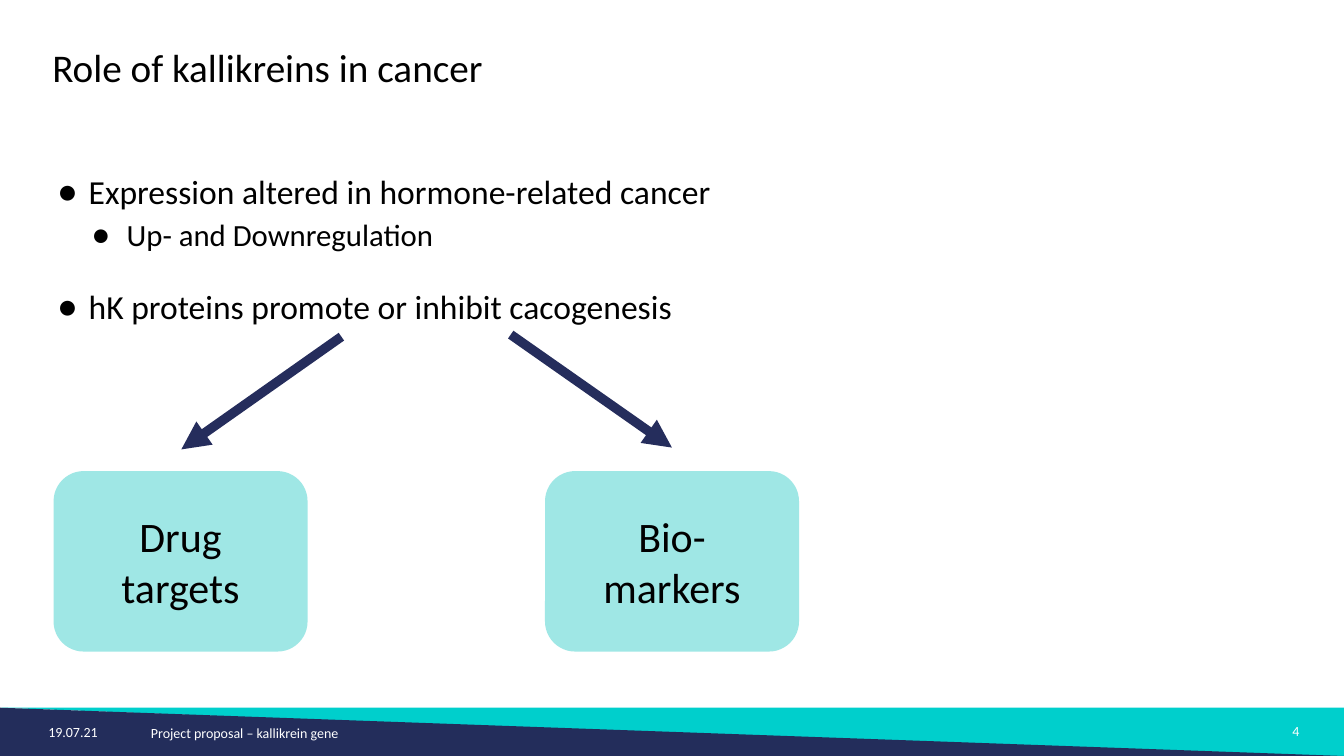
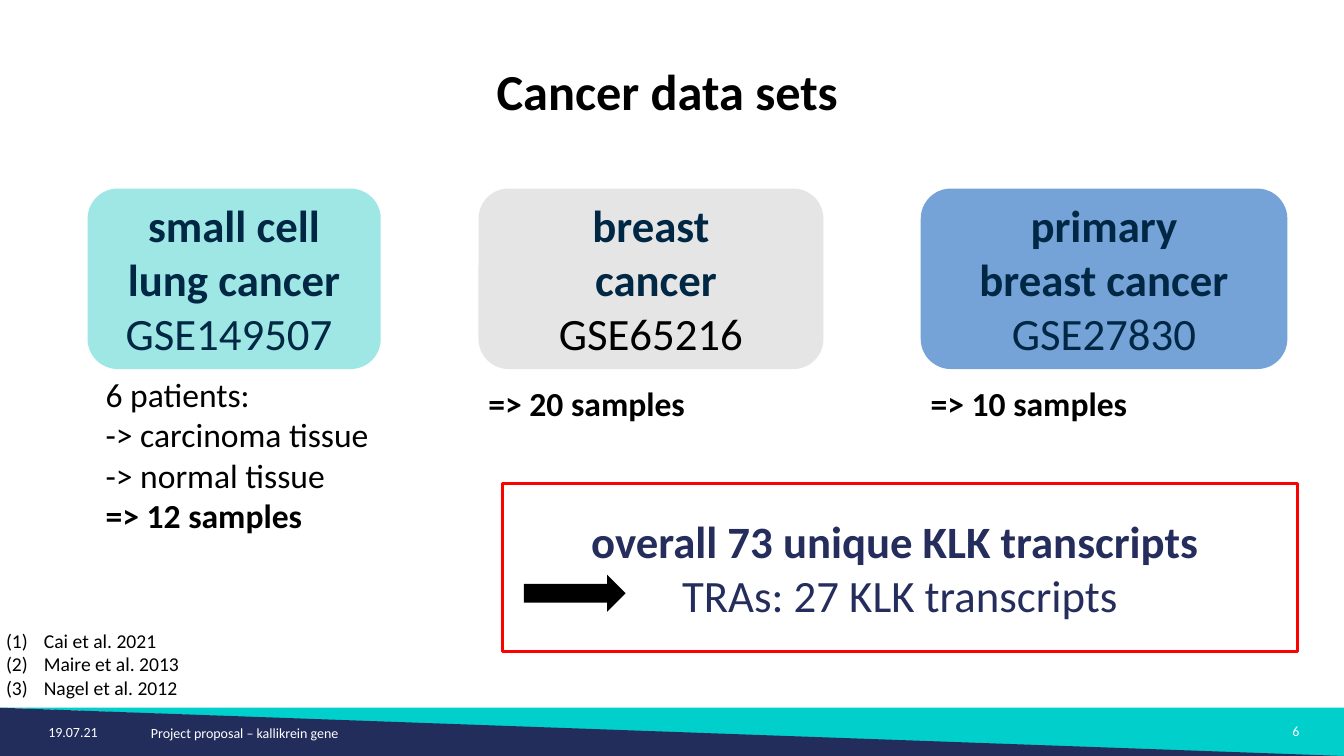
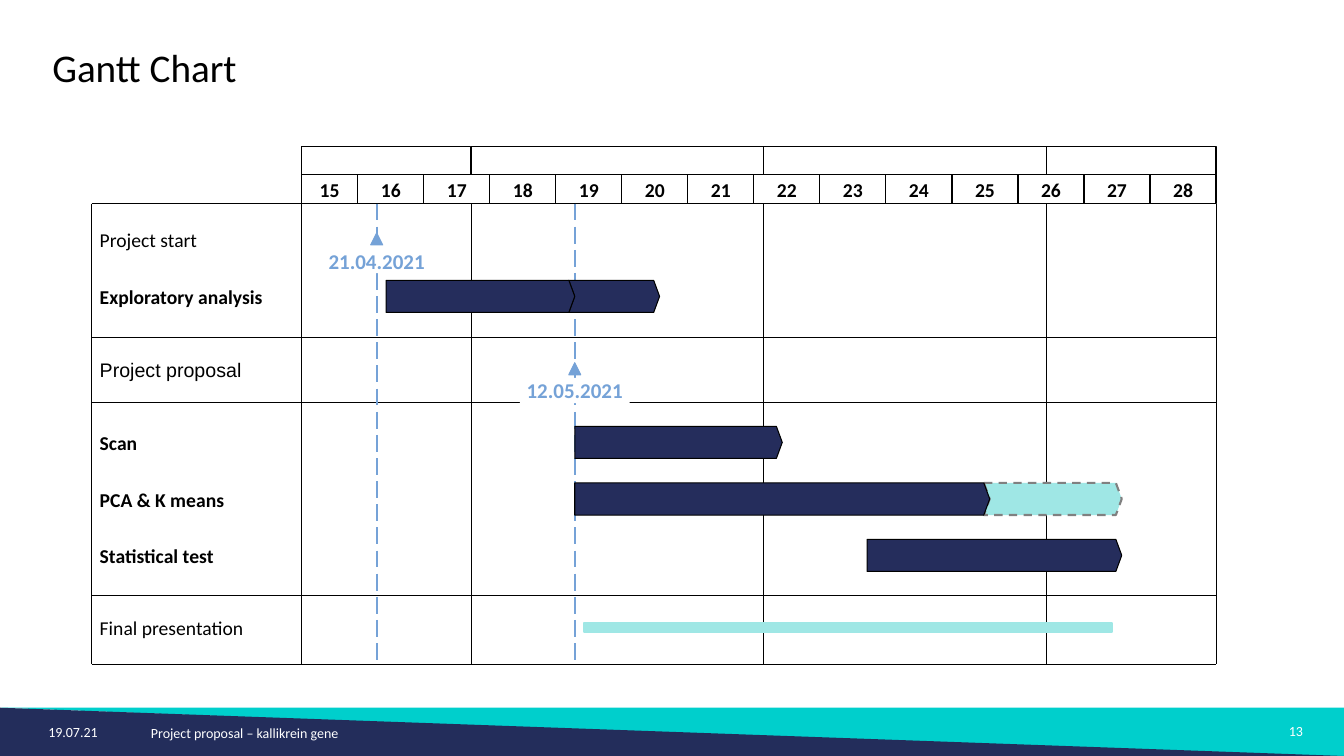
from itertools import pairwise

from lxml.etree import SubElement
from pptx import Presentation
from pptx.dml.color import RGBColor
from pptx.enum.dml import MSO_LINE_DASH_STYLE as Dash
from pptx.enum.shapes import MSO_CONNECTOR as Connector
from pptx.enum.shapes import MSO_SHAPE as Shape
from pptx.enum.text import MSO_ANCHOR as Anchor
from pptx.enum.text import MSO_AUTO_SIZE as AutoSize
from pptx.enum.text import PP_ALIGN as Align
from pptx.oxml.ns import qn
from pptx.util import Pt

BLACK = RGBColor(0x00, 0x00, 0x00)
WHITE = RGBColor(0xFF, 0xFF, 0xFF)
GREY = RGBColor(0x80, 0x80, 0x80)
PALE_GREY = RGBColor(0xE6, 0xE5, 0xE5)
RED = RGBColor(0xFF, 0x00, 0x00)
BAND_NAVY = RGBColor(0x23, 0x2D, 0x5B)
NAVY = RGBColor(0x25, 0x2D, 0x5C)
INK = RGBColor(0x00, 0x28, 0x45)
TURQUOISE = RGBColor(0x00, 0xCF, 0xCC)
AQUA = RGBColor(0x9F, 0xE7, 0xE5)
BLUE = RGBColor(0x75, 0xA2, 0xD7)

FONT = "Calibri"
SLIDE_WIDTH, SLIDE_HEIGHT = 960.48, 540
INSETS = (7.2, 3.6, 7.2, 3.6)
NO_INSETS = (0, 0, 0, 0)

# Gantt grid: day 0 is 13 April
LABEL_LEFT, CHART_LEFT, DAY_WIDTH = 65.5, 215.3, 6.74
CHART_TOP, CHART_BOTTOM, HEADER_HEIGHT = 145.4, 474.5, 20.4
MONTH_STARTS = (0, 18, 49, 79, 97)
WEEK_STARTS = (0, *range(6, 98, 7))
BAR_HEIGHT, BAR_TIP = 23, 0.183


def format_runs(paragraph, size, color, bold=False, font=FONT):
    for span in paragraph.runs:
        span.font.name = font
        span.font.size = Pt(size)
        span.font.bold = bold
        span.font.color.rgb = color


def write(shape, lines, size, color=BLACK, align=Align.LEFT, anchor=Anchor.TOP,
          insets=INSETS, wrap=True, font=FONT):
    """Fill a shape with (text, bold) lines, one paragraph each."""
    frame = shape.text_frame
    frame.auto_size = AutoSize.NONE
    frame.word_wrap = wrap
    frame.vertical_anchor = anchor
    (frame.margin_left, frame.margin_top,
     frame.margin_right, frame.margin_bottom) = map(Pt, insets)
    for index, (text, bold) in enumerate(lines):
        paragraph = frame.add_paragraph() if index else frame.paragraphs[0]
        paragraph.text = text
        paragraph.alignment = align
        format_runs(paragraph, size, color, bold, font)
    return frame


def add_text(slide, box, lines, size, **style):
    return write(slide.shapes.add_textbox(*map(Pt, box)), lines, size, **style)


def add_block(slide, kind, box, fill=None, line=None, weight=0.75):
    shape = slide.shapes.add_shape(kind, *map(Pt, box))
    shape.shadow.inherit = False
    if fill is None:
        shape.fill.background()
    else:
        shape.fill.solid()
        shape.fill.fore_color.rgb = fill
    if line is None:
        shape.line.fill.background()
    else:
        shape.line.color.rgb = line
        shape.line.width = Pt(weight)
    return shape


def add_line(slide, start, end, color=BLACK, weight=0.75, dash=None, arrow=False):
    connector = slide.shapes.add_connector(
        Connector.STRAIGHT, *map(Pt, (*start, *end)))
    line = connector.line
    line.color.rgb = color
    line.width = Pt(weight)
    if dash:
        line.dash_style = dash
    properties = connector._element.spPr
    if arrow:
        SubElement(properties.find(qn("a:ln")), qn("a:tailEnd"), type="triangle")
    SubElement(properties, qn("a:effectLst"))


def add_bullet(paragraph, left, hang, tag="a:buChar", percent=100, **marker):
    properties = paragraph._p.get_or_add_pPr()
    properties.set("marL", str(Pt(left)))
    properties.set("indent", str(-Pt(hang)))
    SubElement(properties, qn("a:buSzPct"), val=str(percent * 1000))
    SubElement(properties, qn("a:buFont"), typeface=FONT)
    SubElement(properties, qn(tag), **marker)


def start_slide(deck, title, number, title_height=42.5, size=28,
                bold=False, align=Align.LEFT):
    """Add a slide with its title, footer bands and footer text."""
    slide = deck.slides.add_slide(deck.slide_layouts[5])
    band = add_block(slide, Shape.RIGHT_TRIANGLE,
                     (0.7, 505.5, SLIDE_WIDTH, 36.7), TURQUOISE)
    band.rotation = 180
    add_block(slide, Shape.RIGHT_TRIANGLE,
              (0, 505.5, SLIDE_WIDTH, 34.5), BAND_NAVY)
    heading = slide.shapes.title
    heading.left, heading.top = Pt(30.2), Pt(26.6)
    heading.width, heading.height = Pt(893.5), Pt(title_height)
    write(heading, [(title, bold)], size, align=align, anchor=Anchor.MIDDLE)
    for text, box, side in (
            ("19.07.21", (27.4, 513.4, 73.4, 20), Align.LEFT),
            (str(number), (912.2, 512.7, 28, 28), Align.CENTER),
            ("Project proposal – kallikrein gene", (100.8, 514, 258, 24), Align.LEFT)):
        add_text(slide, box, [(text, False)], 10, color=WHITE, align=side)
    return slide


def build_role_slide(deck):
    slide = start_slide(deck, "Role of kallikreins in cancer", 4)
    points = (
        ("Expression altered in hormone-related cancer", 24, 22.5, 22.5, 0),
        ("Up- and Downregulation", 22, 49.7, 25.2, 3),
        ("hK proteins promote or inhibit cacogenesis", 24, 22.5, 22.5, 23.5))
    frame = add_text(slide, (33.8, 118.8, 574, 118),
                     [(point[0], False) for point in points], 24)
    for paragraph, (_, size, left, hang, before) in zip(frame.paragraphs, points):
        paragraph.space_before = Pt(before)
        add_bullet(paragraph, left, hang, percent=125, char="•")
        format_runs(paragraph, size, BLACK)
    for text, left, start, end in (
            ("Drug targets", 38.3, (244, 240.5), (129.6, 321)),
            ("Bio-markers", 389.5, (365, 239), (480.2, 319.7))):
        card = add_block(slide, Shape.ROUNDED_RECTANGLE,
                         (left, 336.5, 181.5, 128.9), AQUA)
        write(card, [(text, False)], 30, align=Align.CENTER,
              anchor=Anchor.MIDDLE, insets=(27, 4, 27, 4))
        add_line(slide, start, end, NAVY, 6.75, arrow=True)


def build_data_slide(deck):
    slide = start_slide(deck, "Cancer data sets", 6, 75.6, 36, True, Align.CENTER)
    frame = add_text(
        slide, (0, 444.6, 300, 60),
        [("Cai et al. 2021", False), ("Maire et al. 2013", False),
         ("Nagel et al. 2012", False)],
        14, insets=(4.3, 4.3, 4.3, 4.3))
    for paragraph in frame.paragraphs:
        add_bullet(paragraph, 27, 27, "a:buAutoNum", type="arabicParenBoth")

    summary = add_block(slide, Shape.RECTANGLE,
                        (359.3, 345.2, 568, 120), WHITE, RED, 2)
    write(summary, [("overall 73 unique KLK transcripts ", True),
                    ("TRAs: 27 KLK transcripts", False)],
          32, NAVY, Align.CENTER, Anchor.MIDDLE)
    add_block(slide, Shape.RIGHT_ARROW, (374.4, 410.5, 72.7, 26.6), BLACK)

    for left, width, fill, lines in (
            (62.6, 209.5, AQUA,
             [("small cell\vlung cancer", True), ("GSE149507 ", False)]),
            (342, 246.5, PALE_GREY,
             [("breast", True), (" cancer", True), ("GSE65216", False)]),
            (658, 262, BLUE,
             [("primary", True), ("breast cancer", True), ("GSE27830", False)])):
        card = add_block(slide, Shape.ROUNDED_RECTANGLE,
                         (left, 134.7, width, 128.9), fill)
        frame = write(card, lines, 32, INK, Align.CENTER, Anchor.MIDDLE, NO_INSETS)
        if fill == PALE_GREY:
            format_runs(frame.paragraphs[-1], 32, BLACK)

    for left, top, height, lines in (
            (68.4, 263.5, 125, [("6 patients:", False), ("-> carcinoma tissue", False),
                                ("-> normal tissue", False), ("=> 12 samples", True)]),
            (342, 270, 40, [("=> 20 samples", True)]),
            (658, 270, 40, [("=> 10 samples", True)])):
        add_text(slide, (left, top, 234, height), lines, 24)


def day_x(day):
    return CHART_LEFT + day * DAY_WIDTH


def add_header_row(slide, starts, top, labels=()):
    for index, (first, last) in enumerate(pairwise(starts)):
        cell = add_block(slide, Shape.RECTANGLE,
                         (day_x(first), top, day_x(last) - day_x(first), HEADER_HEIGHT),
                         line=BLACK)
        if labels:
            write(cell, [(str(labels[index]), True)], 14, align=Align.CENTER,
                  anchor=Anchor.MIDDLE, insets=(0, 2, 0, 2), wrap=False)


def add_grid(slide):
    right = day_x(MONTH_STARTS[-1])
    for x, weight in ((LABEL_LEFT, 0.75), (CHART_LEFT, 0.75), (right, 0.75),
                      *((day_x(day), 0.25) for day in MONTH_STARTS[1:-1])):
        add_line(slide, (x, CHART_TOP), (x, CHART_BOTTOM), weight=weight)
    for y, weight in ((CHART_TOP, 0.75), (240.5, 0.25), (287.5, 0.25),
                      (425, 0.25), (CHART_BOTTOM, 0.75)):
        add_line(slide, (LABEL_LEFT, y), (right, y), weight=weight)


def add_bar(slide, first, last, center, kind=Shape.PENTAGON, fill=NAVY):
    """Draw a task bar; a chevron tucks its notch under the bar before it."""
    notch = BAR_HEIGHT * BAR_TIP if kind == Shape.CHEVRON else 0
    left = day_x(first) - notch
    bar = add_block(slide, kind,
                    (left, center - BAR_HEIGHT / 2, day_x(last) - left, BAR_HEIGHT),
                    fill, BLACK)
    bar.adjustments[0] = BAR_TIP
    return bar


def add_milestone(slide, day, center, date):
    x = day_x(day)
    add_block(slide, Shape.ISOSCELES_TRIANGLE,
              (x - 4.3, center - 4.3, 8.6, 8.6), BLUE, BLUE)
    label = add_block(slide, Shape.RECTANGLE,
                      (x - 39.2, center + 6.5, 78.4, 18), WHITE)
    write(label, [(date, True)], 15, BLUE, Align.CENTER,
          insets=NO_INSETS, wrap=False)


def build_gantt_slide(deck):
    slide = start_slide(deck, "Gantt Chart", 13)
    add_header_row(slide, MONTH_STARTS, CHART_TOP - 2 * HEADER_HEIGHT)
    add_header_row(slide, WEEK_STARTS, CHART_TOP - HEADER_HEIGHT, range(15, 29))
    add_grid(slide)

    start, proposal, final = 170.7, 263.4, 448.2
    explore, scan, means, test = 211.7, 316, 356.4, 396.7
    milestones = ((8, start, "21.04.2021"), (29, proposal, "12.05.2021"))
    for day, _, _ in milestones:
        add_line(slide, (day_x(day), CHART_TOP), (day_x(day), CHART_BOTTOM),
                 BLUE, 1.5, Dash.LONG_DASH)

    outlook = add_bar(slide, 73, 87, means, Shape.CHEVRON, AQUA)
    outlook.line.color.rgb = GREY
    outlook.line.width = Pt(1.5)
    outlook.line.dash_style = Dash.DASH
    add_bar(slide, 29, 38, explore, Shape.CHEVRON)
    for first, last, center in ((9, 29, explore), (29, 51, scan),
                                (29, 73, means), (60, 87, test)):
        add_bar(slide, first, last, center)
    add_block(slide, Shape.RECTANGLE,
              (day_x(30), final - 3.2, 56 * DAY_WIDTH, 6.4), AQUA, AQUA, 1.5)
    for milestone in milestones:
        add_milestone(slide, *milestone)

    for text, center, bold, font in (
            ("Project start", start, False, FONT),
            ("Exploratory analysis", explore, True, FONT),
            ("Project proposal", proposal, False, "Arial"),
            ("Scan", scan, True, FONT),
            ("PCA & K means", means, True, FONT),
            ("Statistical test", test, True, FONT),
            ("Final presentation", final, False, FONT)):
        add_text(slide, (71.3, center - 8, 138, 17), [(text, bold)], 14,
                 anchor=Anchor.MIDDLE, insets=NO_INSETS, font=font)


def main():
    deck = Presentation()
    deck.slide_width, deck.slide_height = Pt(SLIDE_WIDTH), Pt(SLIDE_HEIGHT)
    build_role_slide(deck)
    build_data_slide(deck)
    build_gantt_slide(deck)
    deck.save("out.pptx")


if __name__ == "__main__":
    main()
